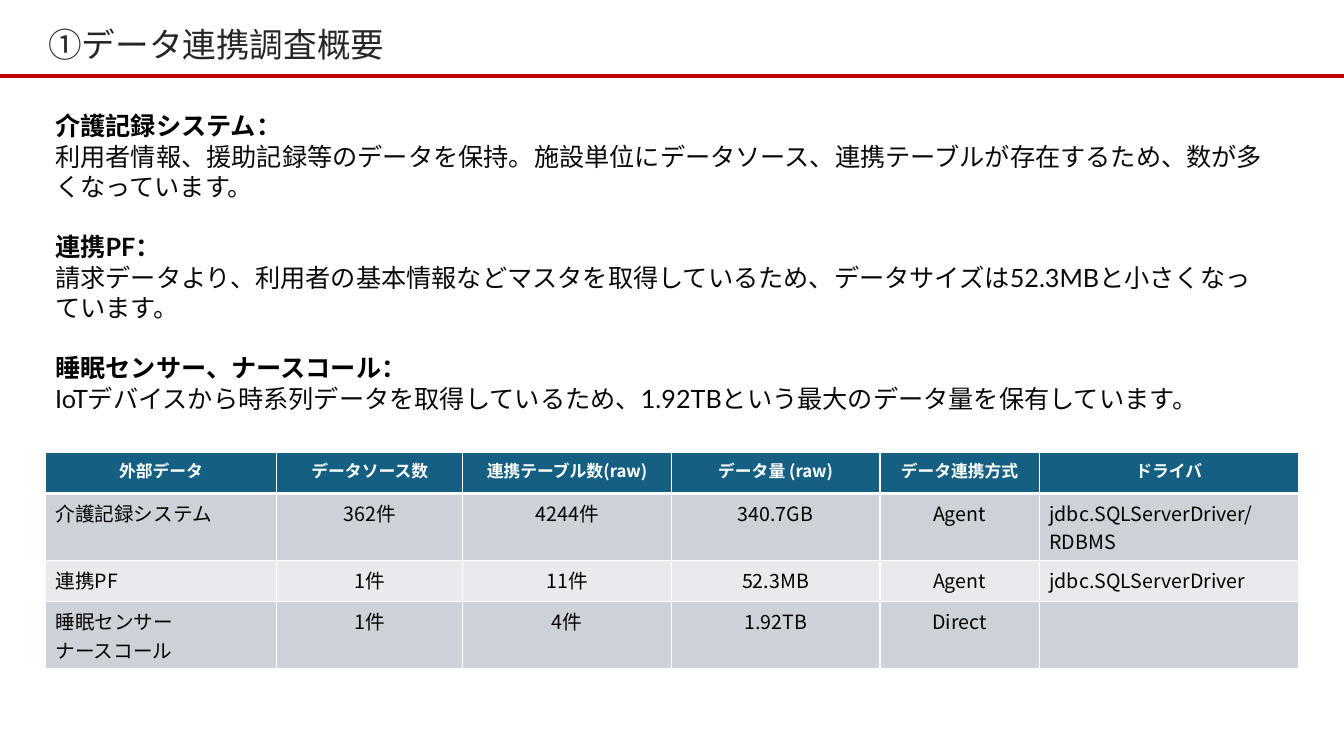
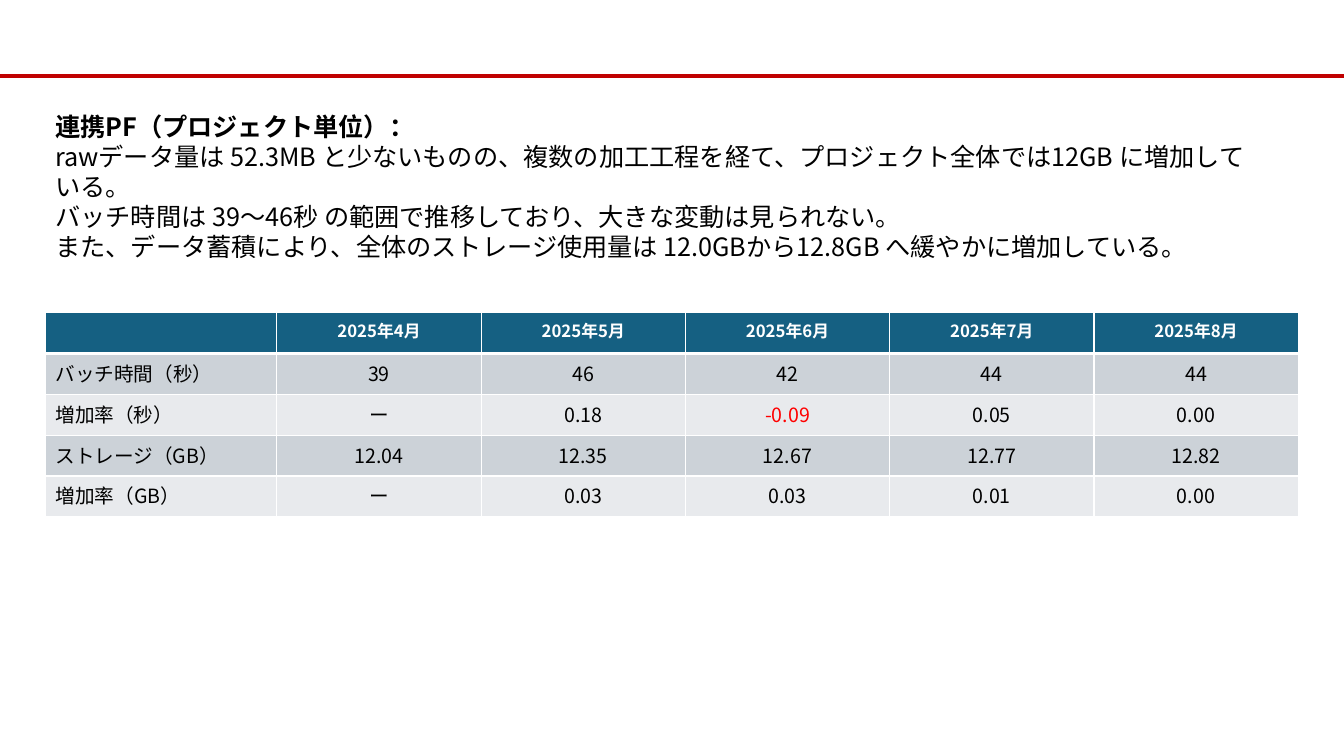
"""Build two slides that summarise the data linkage survey."""
from dataclasses import dataclass

from lxml import etree
from pptx import Presentation
from pptx.dml.color import RGBColor
from pptx.enum.shapes import MSO_CONNECTOR
from pptx.enum.text import MSO_ANCHOR, MSO_AUTO_SIZE, PP_ALIGN
from pptx.oxml.ns import qn
from pptx.util import Pt

STRAIGHT = MSO_CONNECTOR.STRAIGHT
MIDDLE = MSO_ANCHOR.MIDDLE
TOP = MSO_ANCHOR.TOP
GROW = MSO_AUTO_SIZE.SHAPE_TO_FIT_TEXT
NO_FIT = MSO_AUTO_SIZE.NONE
LEFT = PP_ALIGN.LEFT
CENTER = PP_ALIGN.CENTER


@dataclass(frozen=True)
class Theme:
    """Colours, fonts, type sizes and shared measures."""

    rule: str = "C00000"
    title: str = "262626"
    black: str = "000000"
    ink: str = "09090B"
    white: str = "FFFFFF"
    negative: str = "FF0000"
    header: str = "156082"
    bands: tuple = ("CCD2D8", "E8EAED")
    gothic: str = "Noto Sans CJK JP"
    latin: str = "Lato"
    title_size: float = 24
    body_size: float = 18
    header_size: float = 12
    cell_size: float = 14
    body_line: float = 21.6
    width: float = 960
    height: float = 540
    margin: float = 32.4
    rule_top: float = 54
    body_top: float = 75.6
    row_height: float = 29.2


THEME = Theme()


@dataclass(frozen=True)
class Section:
    """A bold heading with the lines of text below it."""

    heading: str
    lines: tuple
    heading_font: str = THEME.gothic
    heading_color: str = THEME.black
    line_font: str = THEME.gothic
    line_color: str = THEME.black


SURVEY_SECTIONS = (
    Section(
        "介護記録システム：",
        ("利用者情報、援助記録等のデータを保持。施設単位にデータソース、"
         "連携テーブルが存在するため、数が多くなっています。",),
        line_font=THEME.latin, line_color=THEME.ink,
    ),
    Section(
        "連携PF：",
        ("請求データより、利用者の基本情報などマスタを取得しているため、"
         "データサイズは52.3MBと小さくなっています。",),
        THEME.latin, THEME.ink, THEME.latin, THEME.ink,
    ),
    Section(
        "睡眠センサー、ナースコール：",
        ("IoTデバイスから時系列データを取得しているため、"
         "1.92TBという最大のデータ量を保有しています。",),
        line_font=THEME.latin, line_color=THEME.ink,
    ),
)
SURVEY_WIDTHS = (165.4, 132.8, 149, 149, 113.8, 185)
SURVEY_ROWS = (
    ("外部データ", "データソース数", "連携テーブル数(raw)", "データ量 (raw)",
     "データ連携方式", "ドライバ"),
    ("介護記録システム", "362件", "4244件", "340.7GB", "Agent",
     "jdbc.SQLServerDriver/\nRDBMS"),
    ("連携PF", "1件", "11件", "52.3MB", "Agent", "jdbc.SQLServerDriver"),
    ("睡眠センサー\nナースコール", "1件", "4件", "1.92TB", "Direct", ""),
)

PROJECT_SECTIONS = (
    Section(
        "連携PF（プロジェクト単位）：",
        ("rawデータ量は 52.3MB と少ないものの、複数の加工工程を経て、"
         "プロジェクト全体では12GB に増加している。",
         "バッチ時間は 39～46秒 の範囲で推移しており、大きな変動は見られない。",
         "また、データ蓄積により、全体のストレージ使用量は "
         "12.0GBから12.8GB へ緩やかに増加している。"),
    ),
)
PROJECT_WIDTHS = (165.4,) + (145.92,) * 5
PROJECT_ROWS = (
    ("",) + tuple(f"2025年{month}月" for month in range(4, 9)),
    ("バッチ時間（秒）", "39", "46", "42", "44", "44"),
    ("増加率（秒）", "ー", "0.18", "-0.09", "0.05", "0.00"),
    ("ストレージ（GB）", "12.04", "12.35", "12.67", "12.77", "12.82"),
    ("増加率（GB）", "ー", "0.03", "0.03", "0.01", "0.00"),
)


def add_run(paragraph, text, size, color, font=THEME.gothic, bold=False):
    """Add one styled run, with the Japanese face set beside the Latin one."""
    run = paragraph.add_run()
    run.text = text
    run.font.size = Pt(size)
    run.font.bold = bold
    run.font.color.rgb = RGBColor.from_string(color)
    run.font.name = font
    east_asian = etree.SubElement(run._r.get_or_add_rPr(), qn("a:ea"))
    east_asian.set("typeface", THEME.gothic)


def next_paragraph(frame, index):
    """Return the first paragraph of a frame, or add a further one."""
    return frame.add_paragraph() if index else frame.paragraphs[0]


def add_text_frame(slide, left, top, width, height, anchor=TOP, fit=NO_FIT):
    """Add a wrapping text box and return its frame."""
    box = slide.shapes.add_textbox(Pt(left), Pt(top), Pt(width), Pt(height))
    frame = box.text_frame
    frame.word_wrap = True
    frame.auto_size = fit
    frame.vertical_anchor = anchor
    return frame


def add_rule(slide):
    """Draw the red line below the title area."""
    rule = slide.shapes.add_connector(
        STRAIGHT, Pt(0), Pt(THEME.rule_top), Pt(THEME.width), Pt(THEME.rule_top)
    )
    rule.line.color.rgb = RGBColor.from_string(THEME.rule)
    rule.line.width = Pt(2.75)
    etree.SubElement(rule._element.spPr, qn("a:effectLst"))


def add_title(slide, title):
    """Write the slide title above the red line."""
    frame = add_text_frame(slide, 27.4, 13, 738.7, 40.3, MIDDLE)
    paragraph = frame.paragraphs[0]
    paragraph.line_spacing = 0.9
    add_run(paragraph, title, THEME.title_size, THEME.title)


def add_sections(slide, sections, height):
    """Write headed sections one line apart."""
    frame = add_text_frame(
        slide, THEME.margin, THEME.body_top, 876.2, height, fit=GROW
    )
    entries = []
    for section in sections:
        entries.append((section.heading, section.heading_color,
                        section.heading_font, True))
        entries += [(line, section.line_color, section.line_font, False)
                    for line in section.lines]
    for index, (text, color, font, bold) in enumerate(entries):
        paragraph = next_paragraph(frame, index)
        paragraph.line_spacing = Pt(THEME.body_line)
        if bold and index:
            paragraph.space_before = Pt(THEME.body_line)
        add_run(paragraph, text, THEME.body_size, color, font, bold)


def set_borders(cell, top, bottom):
    """Give a cell white borders, one point wide at the sides."""
    properties = cell._tc.get_or_add_tcPr()
    for side, width in (("L", 1), ("R", 1), ("T", top), ("B", bottom)):
        border = etree.SubElement(properties, qn(f"a:ln{side}"), w=str(Pt(width)))
        fill = etree.SubElement(border, qn("a:solidFill"))
        etree.SubElement(fill, qn("a:srgbClr"), val=THEME.white)


def fill_cell(cell, text, row, align):
    """Style one table cell by its row and write its lines."""
    is_header = row == 0
    set_borders(cell, 3 if row == 1 else 1, 3 if is_header else 1)
    cell.fill.solid()
    background = THEME.header if is_header else THEME.bands[(row - 1) % 2]
    cell.fill.fore_color.rgb = RGBColor.from_string(background)
    size, color = THEME.cell_size, THEME.black
    if is_header:
        size, color = THEME.header_size, THEME.white
    elif text.startswith("-"):
        color = THEME.negative
    for index, line in enumerate(text.splitlines()):
        paragraph = next_paragraph(cell.text_frame, index)
        paragraph.alignment = align
        add_run(paragraph, line, size, color, bold=is_header)


def add_data_table(slide, top, widths, rows, left_columns):
    """Add a banded table whose named columns are set flush left."""
    table = slide.shapes.add_table(
        len(rows), len(widths), Pt(THEME.margin), Pt(top),
        Pt(sum(widths)), Pt(THEME.row_height * len(rows)),
    ).table
    for column, width in zip(table.columns, widths):
        column.width = Pt(width)
    for row, texts in enumerate(rows):
        table.rows[row].height = Pt(THEME.row_height)
        for column, text in enumerate(texts):
            align = LEFT if row and column in left_columns else CENTER
            fill_cell(table.cell(row, column), text, row, align)


def add_ruled_slide(deck):
    """Add a blank slide with the shared red line."""
    slide = deck.slides.add_slide(deck.slide_layouts[6])
    add_rule(slide)
    return slide


def main():
    """Build and save the deck."""
    deck = Presentation()
    deck.slide_width = Pt(THEME.width)
    deck.slide_height = Pt(THEME.height)

    survey = add_ruled_slide(deck)
    add_data_table(survey, 323.3, SURVEY_WIDTHS, SURVEY_ROWS, (0, 5))
    add_sections(survey, SURVEY_SECTIONS, 225.4)
    add_title(survey, "①データ連携調査概要")

    project = add_ruled_slide(deck)
    add_data_table(project, 223.2, PROJECT_WIDTHS, PROJECT_ROWS, (0,))
    add_sections(project, PROJECT_SECTIONS, 116.6)

    deck.save("out.pptx")


if __name__ == "__main__":
    main()
